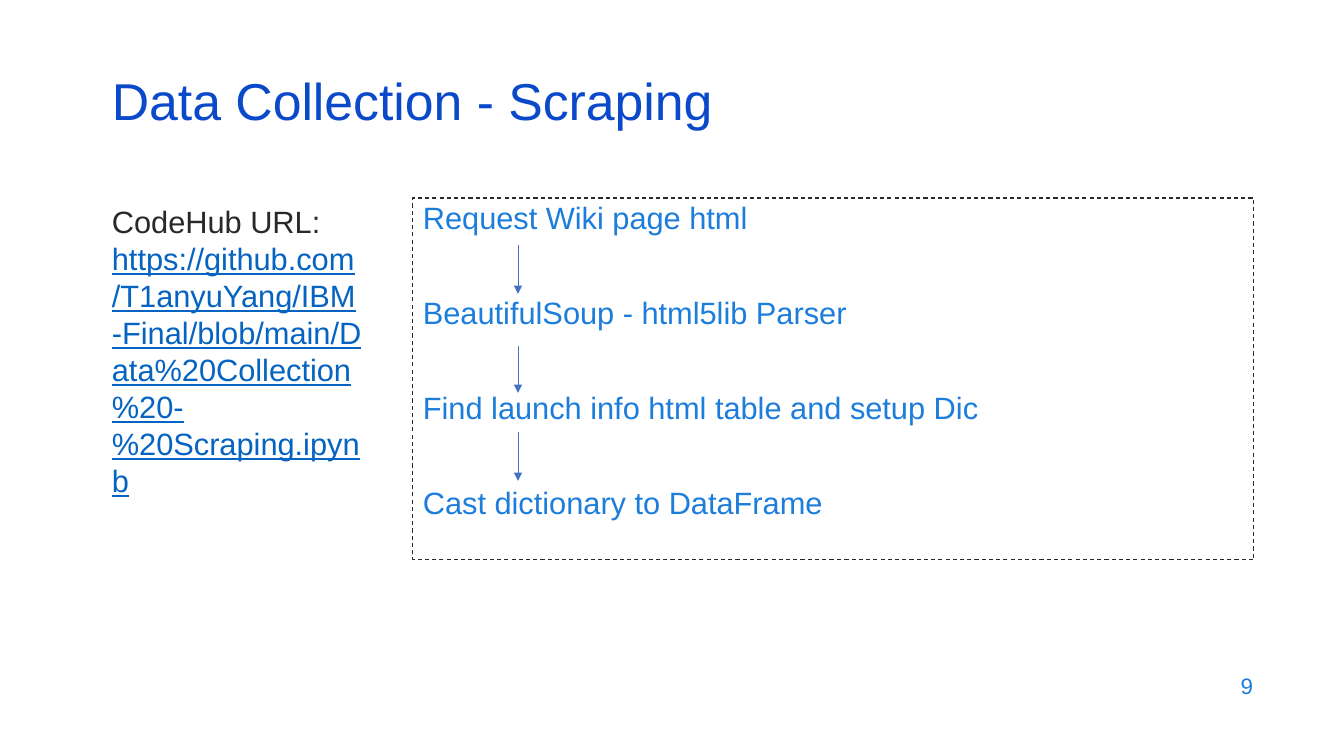
from lxml import etree
from pptx import Presentation
from pptx.dml.color import RGBColor
from pptx.enum.dml import MSO_LINE
from pptx.enum.shapes import MSO_CONNECTOR, MSO_SHAPE
from pptx.enum.text import MSO_ANCHOR, PP_ALIGN
from pptx.oxml.ns import qn
from pptx.util import Emu, Pt

TOP, MIDDLE = MSO_ANCHOR.TOP, MSO_ANCHOR.MIDDLE
LEFT, RIGHT = PP_ALIGN.LEFT, PP_ALIGN.RIGHT
RECTANGLE, STRAIGHT, DASH = MSO_SHAPE.RECTANGLE, MSO_CONNECTOR.STRAIGHT, MSO_LINE.DASH

TITLE = "Data Collection - Scraping"
PAGE_NUMBER = "9"
SOURCE_LABEL = "CodeHub URL: "
SOURCE_URL = ("https://github.com/T1anyuYang/IBM-Final/blob/main/"
              "Data%20Collection%20-%20Scraping.ipynb")
STEPS = [
    "Request Wiki page html",
    "BeautifulSoup - html5lib Parser",
    "Find launch info html table and setup Dic",
    "Cast dictionary to DataFrame",
]
COLORS = {"title": "0B49CB", "body": "292929", "url": "0563C1",
          "step": "1C7DDB", "arrow": "4472C4", "border": "292929"}
FONT = "Arial"

EMU_PER_PX = 9071
SLIDE_SIZE = (1344, 756)
TITLE_BOX = (102, 77, 1159, 60)
SOURCE_BOX = (102, 198, 270, 362)
STEPS_BOX = (413, 198, 841, 362)
NUMBER_BOX = (961, 664, 302, 44)
ARROW_X = 518
ARROW_SPANS = [(245, 294), (346, 393), (432, 481)]


def px(*lengths):
    return [Emu(length * EMU_PER_PX) for length in lengths]


def write(shape, paragraphs, size, anchor=TOP, align=LEFT, line_spacing=None, gap=0):
    frame = shape.text_frame
    frame.word_wrap = True
    frame.vertical_anchor = anchor
    for index, runs in enumerate(paragraphs):
        paragraph = frame.add_paragraph() if index else frame.paragraphs[0]
        paragraph.alignment = align
        if line_spacing:
            paragraph.line_spacing = line_spacing
        if index and gap:
            paragraph.space_before = Pt(gap)
        for text, color, underline in runs:
            run = paragraph.add_run()
            run.text = text
            run.font.name = FONT
            run.font.size = Pt(size)
            run.font.underline = underline
            run.font.color.rgb = RGBColor.from_string(COLORS[color])


def add_arrow(shapes, x, top, bottom):
    arrow = shapes.add_connector(STRAIGHT, *px(x, top, x, bottom))
    arrow.line.color.rgb = RGBColor.from_string(COLORS["arrow"])
    arrow.line.width = Pt(0.5)
    etree.SubElement(arrow.line._get_or_add_ln(), qn("a:tailEnd"), type="triangle")
    etree.SubElement(arrow._element.spPr, qn("a:effectLst"))


def main():
    deck = Presentation()
    deck.slide_width, deck.slide_height = px(*SLIDE_SIZE)
    shapes = deck.slides.add_slide(deck.slide_layouts[6]).shapes

    write(shapes.add_textbox(*px(*NUMBER_BOX)), [[(PAGE_NUMBER, "step", False)]],
          size=16, anchor=MIDDLE, align=RIGHT)
    write(shapes.add_textbox(*px(*SOURCE_BOX)),
          [[(SOURCE_LABEL, "body", False), (SOURCE_URL, "url", True)]], size=22)
    write(shapes.add_textbox(*px(*TITLE_BOX)), [[(TITLE, "title", False)]],
          size=37, anchor=MIDDLE, line_spacing=0.7)

    steps_panel = shapes.add_shape(RECTANGLE, *px(*STEPS_BOX))
    steps_panel.shadow.inherit = False
    steps_panel.fill.background()
    steps_panel.line.color.rgb = RGBColor.from_string(COLORS["border"])
    steps_panel.line.width = Pt(0.75)
    steps_panel.line.dash_style = DASH
    write(steps_panel, [[(step, "step", False)] for step in STEPS],
          size=22, line_spacing=0.9, gap=44)

    for top, bottom in ARROW_SPANS:
        add_arrow(shapes, ARROW_X, top, bottom)

    deck.save("out.pptx")


if __name__ == "__main__":
    main()
